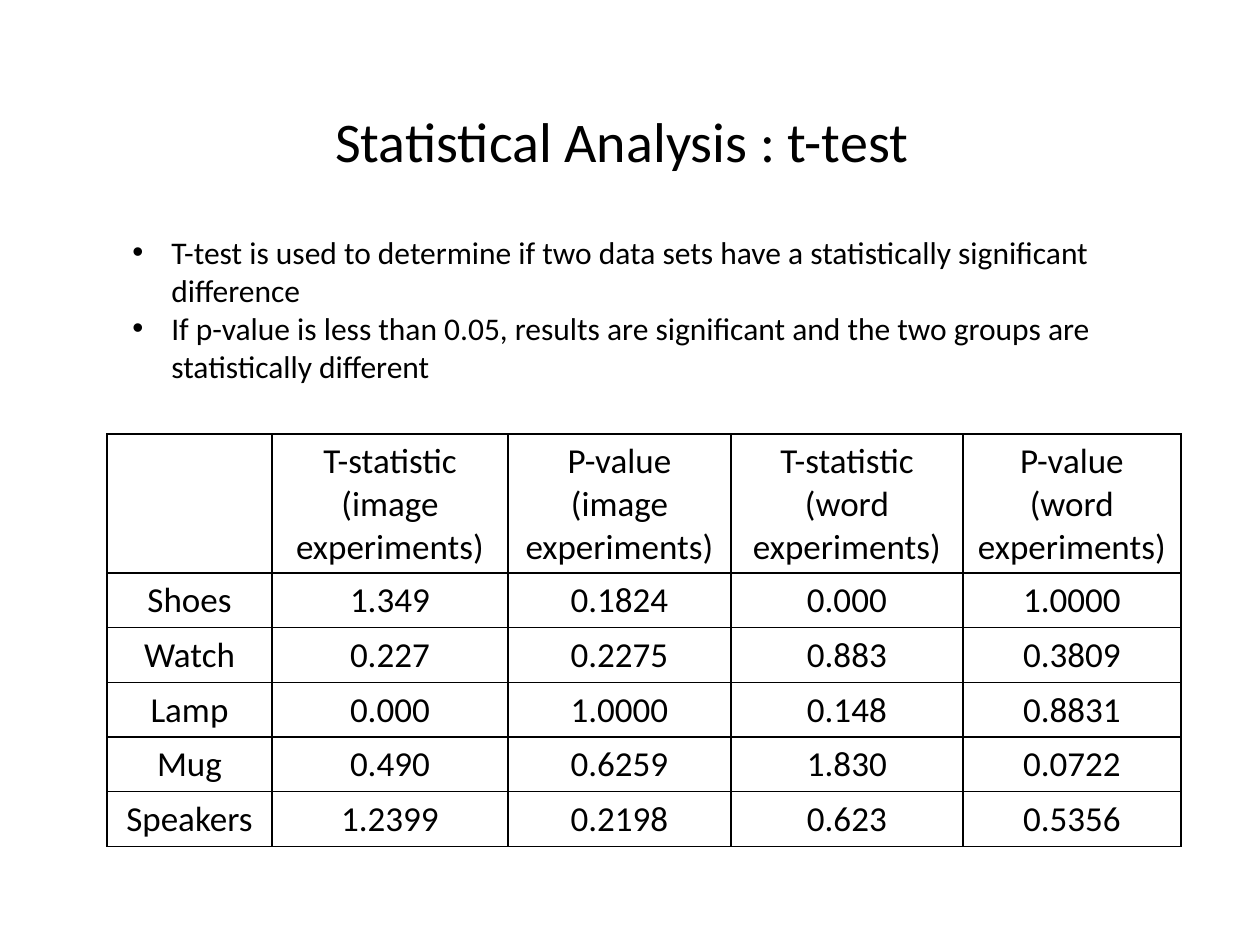
from dataclasses import dataclass

from lxml import etree
from pptx import Presentation, util as u
from pptx.dml.color import RGBColor
from pptx.enum import text
from pptx.oxml import ns

TITLE = "Statistical Analysis : t-test"
POINTS = [
    "T-test is used to determine if two data sets have a statistically significant difference",
    "If p-value is less than 0.05, results are significant and the two groups are statistically different",
]
RESULTS = [
    ("", "T-statistic (image experiments)", "P-value\n(image experiments)",
     "T-statistic (word experiments)", "P-value (word experiments)"),
    ("Shoes", "1.349", "0.1824", "0.000", "1.0000"),
    ("Watch", "0.227", "0.2275", "0.883", "0.3809"),
    ("Lamp", "0.000", "1.0000", "0.148", "0.8831"),
    ("Mug", "0.490", "0.6259", "1.830", "0.0722"),
    ("Speakers", "1.2399", "0.2198", "0.623", "0.5356"),
]
TITLE_BOX = (176, 100, 892, 81)
POINTS_BOX = (120, 227, 1023, 165)
TABLE_LEFT, TABLE_TOP = 107, 434
COLUMN_WIDTHS = (165, 236, 223, 232, 218)
HEADER_HEIGHT, ROW_HEIGHT = 139, 52
BULLET_INDENT = 39


@dataclass(frozen=True)
class Theme:
    font: str = "Calibri"
    ink: str = "000000"
    title: int = 32
    body: int = 18
    table: int = 20
    border: int = 1


THEME = Theme()


def px(n):
    return u.Emu(n * 914400 // 126)


def style(p, size, align=text.PP_ALIGN.CENTER):
    p.alignment = align
    p.font.name = THEME.font
    p.font.size = u.Pt(size)
    p.font.color.rgb = RGBColor.from_string(THEME.ink)


def add_text(s, box, lines, size, align):
    tf = s.shapes.add_textbox(*map(px, box)).text_frame
    tf.word_wrap = True
    tf.text = "\n".join(lines)
    for p in tf.paragraphs:
        style(p, size, align)
    return tf


def add_bullet(p):
    pPr = p._p.get_or_add_pPr()
    pPr.set("marL", str(px(BULLET_INDENT)))
    pPr.set("indent", str(-px(BULLET_INDENT)))
    bullet_font = etree.Element(ns.qn("a:buFont"), typeface="Arial")
    bullet = etree.Element(ns.qn("a:buChar"), char="•")
    pPr.insert(0, bullet_font)
    bullet_font.addnext(bullet)


def add_borders(cell):
    tcPr = cell._tc.get_or_add_tcPr()
    for i, side in enumerate(("lnL", "lnR", "lnT", "lnB")):
        line = etree.Element(ns.qn(f"a:{side}"), w=str(u.Pt(THEME.border)))
        fill = etree.SubElement(line, ns.qn("a:solidFill"))
        etree.SubElement(fill, ns.qn("a:srgbClr"), val=THEME.ink)
        tcPr.insert(i, line)


def add_results(s):
    heights = [HEADER_HEIGHT] + [ROW_HEIGHT] * (len(RESULTS) - 1)
    table = s.shapes.add_table(
        len(RESULTS), len(COLUMN_WIDTHS), px(TABLE_LEFT), px(TABLE_TOP),
        px(sum(COLUMN_WIDTHS)), px(sum(heights))).table
    table.first_row = table.horz_banding = False
    for column, width in zip(table.columns, COLUMN_WIDTHS):
        column.width = px(width)
    for row, height, values in zip(table.rows, heights, RESULTS):
        row.height = px(height)
        for cell, value in zip(row.cells, values):
            cell.text = value
            cell.fill.background()
            add_borders(cell)
            for p in cell.text_frame.paragraphs:
                style(p, THEME.table)


def main():
    prs = Presentation()
    prs.slide_width, prs.slide_height = u.Inches(10), u.Inches(7.5)
    s = prs.slides.add_slide(prs.slide_layouts[6])
    add_text(s, TITLE_BOX, [TITLE], THEME.title, text.PP_ALIGN.CENTER)
    points = add_text(s, POINTS_BOX, POINTS, THEME.body, text.PP_ALIGN.LEFT)
    for p in points.paragraphs:
        add_bullet(p)
    add_results(s)
    prs.save("out.pptx")


if __name__ == "__main__":
    main()
